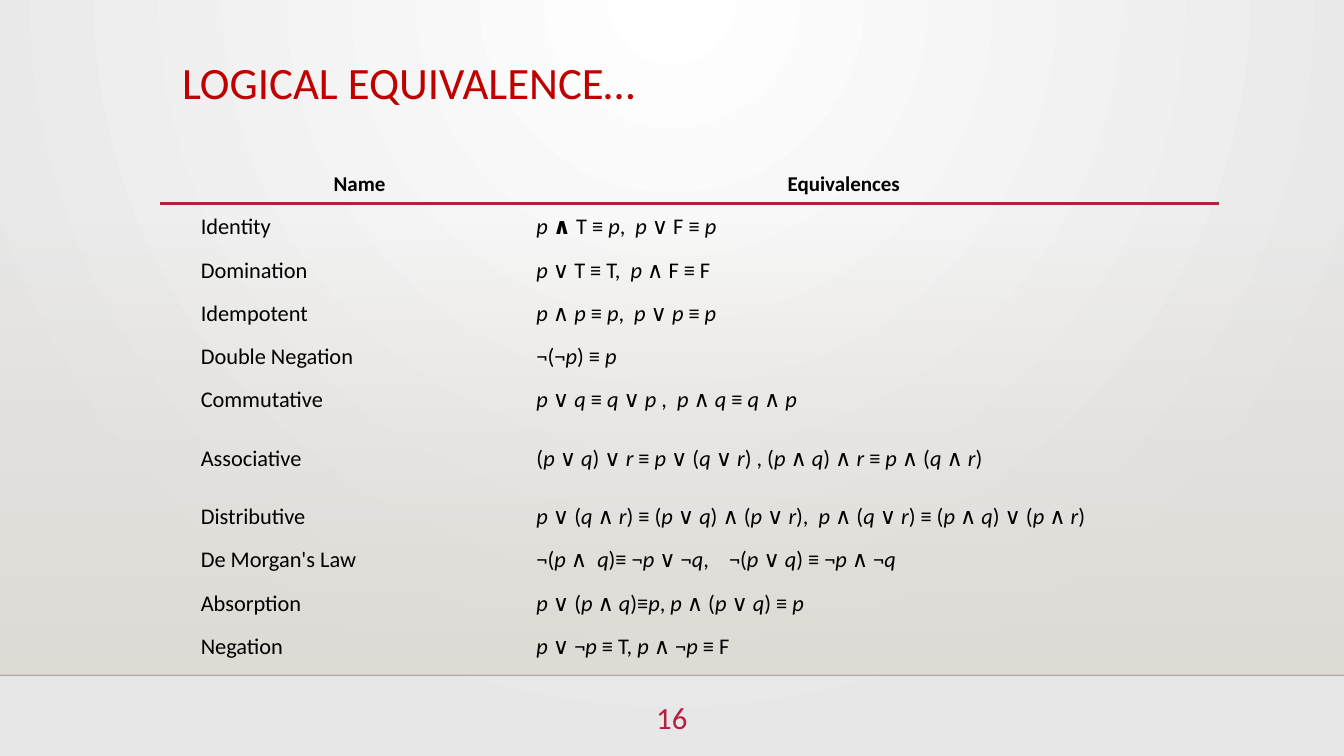
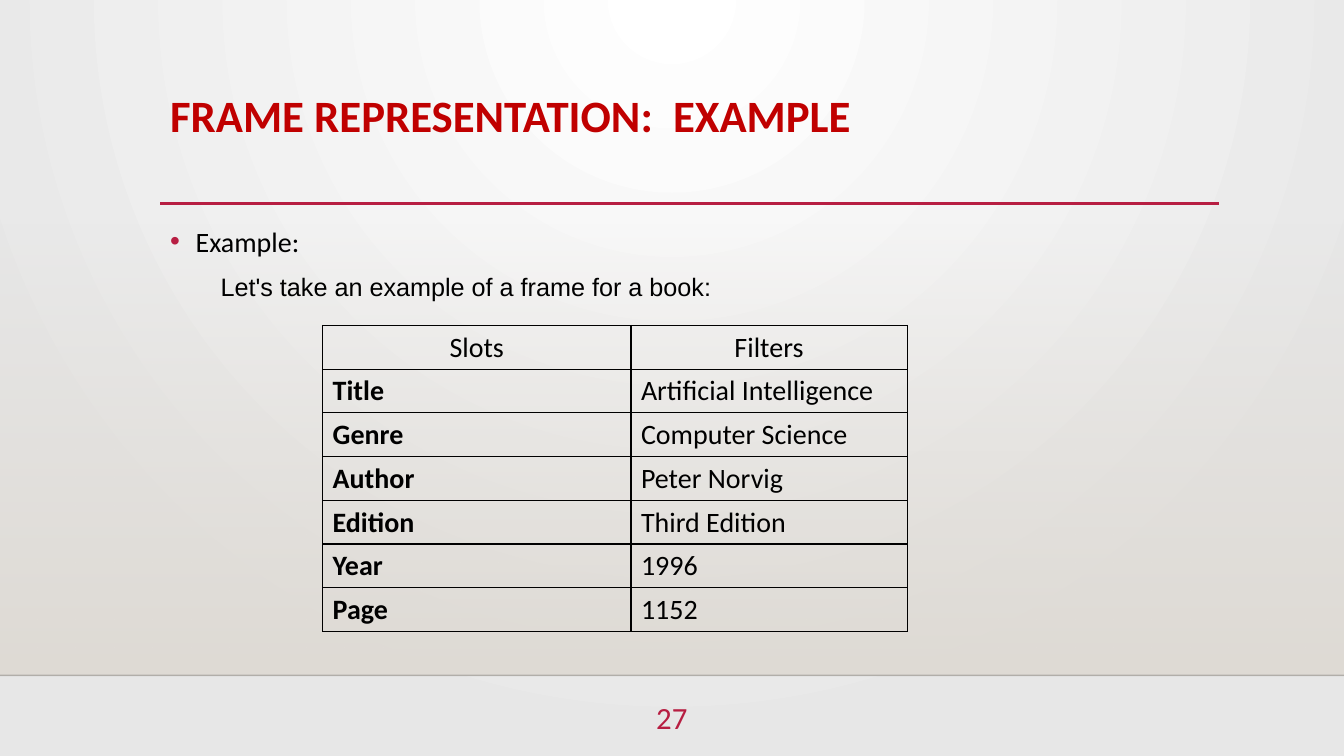
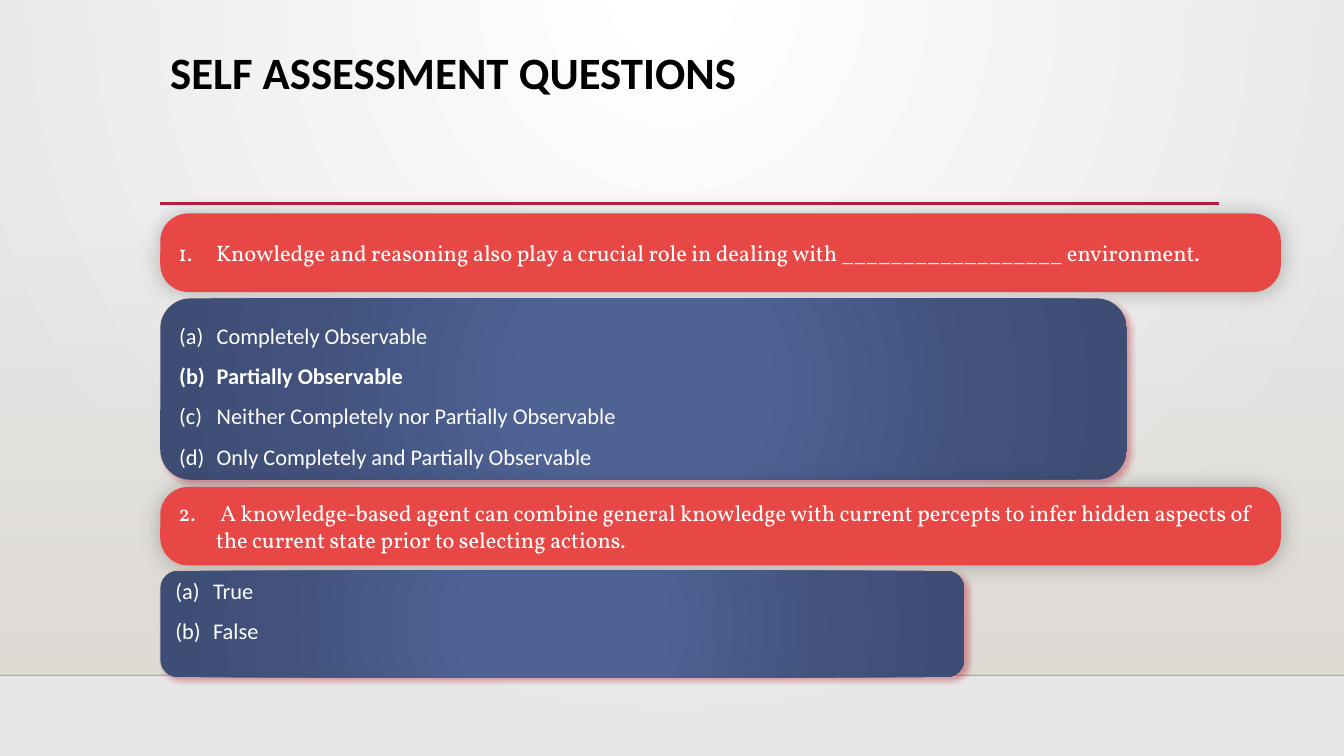
from dataclasses import dataclass, replace
from itertools import groupby
from typing import NamedTuple

from lxml.etree import SubElement
from pptx import Presentation
from pptx.dml.color import RGBColor
from pptx.enum.shapes import MSO_CONNECTOR, MSO_SHAPE
from pptx.enum.text import MSO_ANCHOR, PP_ALIGN
from pptx.oxml.ns import qn
from pptx.util import Cm, Pt

HUES = {
    "white": "FFFFFF", "grey": "E7E7E7", "sand": "DFDBD5", "black": "000000",
    "edge": "000001", "rose": "B71E42", "red": "C00000", "coral": "E84845",
    "blue": "4E6294", "dusk": "42527C", "night": "3E4D74", "wine": "BA2532",
}
WIDE, HIGH = 33.87, 19.05
LEFT, SPAN, FLOOR = 4.04, 26.67, 17.02
NO_GRID = "{2D5ABB26-0587-4C30-8999-92F81FD0307C}"


class Box(NamedTuple):
    """Left, top, width and height in centimetres."""
    left: float
    top: float
    wide: float
    high: float

    def cm(self) -> list:
        return [Cm(side) for side in self]


@dataclass(frozen=True)
class Look:
    size: float
    hue: str = "black"
    bold: bool = False
    slant: bool = False
    face: str = "Calibri"


class Glow(NamedTuple):
    hue: str
    clear: int
    blur: float
    dist: float
    turn: int


class Card(NamedTuple):
    """A rounded question or answer panel."""
    box: Box
    lines: list
    look: Look
    mark: str
    glow: Glow
    first: int = 1
    key: int = -1
    lead: float = 1.0
    curve: float = 0.1667
    foot: float = 0.13


HEAD = Look(32, "red")
CELL = Look(16)
SLOT = Look(20)
ASK = Look(16, "white", face="Vollkorn")
PICK = Look(16, "white")
HALO = Glow("black", 25, 15, 0, 0)
DROP = Glow("wine", 40, 4, 3, 45)

LAWS = [
    ("Identity", "p *∧* T ≡ p,  p ∨ F ≡ p"),
    ("Domination", "p ∨ T ≡ T,  p ∧ F ≡ F"),
    ("Idempotent", "p ∧ p ≡ p,  p ∨ p ≡ p"),
    ("Double Negation", "¬(¬p) ≡ p"),
    ("Commutative", "p ∨ q ≡ q ∨ p ,  p ∧ q ≡ q ∧ p"),
    ("Associative", "(p ∨ q) ∨ r ≡ p ∨ (q ∨ r) , (p ∧ q) ∧ r ≡ p ∧ (q ∧ r)"),
    ("Distributive", "p ∨ (q ∧ r) ≡ (p ∨ q) ∧ (p ∨ r),  p ∧ (q ∨ r) ≡ (p ∧ q) ∨ (p ∧ r)"),
    ("De Morgan's Law", "¬(p ∧  q)≡ ¬p ∨ ¬q,    ¬(p ∨ q) ≡ ¬p ∧ ¬q"),
    ("Absorption", "p ∨ (p ∧ q)≡p, p ∧ (p ∨ q) ≡ p"),
    ("Negation", "p ∨ ¬p ≡ T, p ∧ ¬p ≡ F"),
]
SLOTS = [
    ("Title", "Artificial Intelligence"), ("Genre", "Computer Science"),
    ("Author", "Peter Norvig"), ("Edition", "Third Edition"),
    ("Year", "1996"), ("Page", "1152"),
]
CARDS = [
    Card(Box(LEFT, 5.38, 28.24, 1.98),
         ["Knowledge and reasoning also play a crucial role in dealing with "
          "__________________ environment."],
         ASK, "arabicPeriod", HALO, curve=0.356),
    Card(Box(LEFT, 7.52, 24.36, 4.57),
         ["Completely Observable", "Partially Observable",
          "Neither Completely nor Partially Observable",
          "Only Completely and Partially Observable"],
         PICK, "alphaLcParenBoth", DROP, key=1, lead=1.5),
    Card(Box(LEFT, 12.27, 28.24, 1.98),
         [" A knowledge-based agent can combine general knowledge with current "
          "percepts to infer hidden aspects of the current state prior to "
          "selecting actions."],
         ASK, "arabicPeriod", HALO, first=2, curve=0.356),
    Card(Box(LEFT, 14.38, 20.27, 2.69), ["True", "False"],
         PICK, "alphaLcParenBoth", DROP, lead=1.5, foot=1.0),
]


# XML helpers
def tint(home, hue: str, clear: int = 100):
    clr = SubElement(home, qn("a:srgbClr"), val=HUES[hue])
    if clear < 100:
        SubElement(clr, qn("a:alpha"), val=str(clear * 1000))


def blend(node, stops: list, focus: tuple = ()):
    """Fill a gradient node: round when it has a focus, else top to bottom."""
    for kid in list(node):
        node.remove(kid)
    row = SubElement(node, qn("a:gsLst"))
    for spot, hue, clear in stops:
        tint(SubElement(row, qn("a:gs"), pos=str(spot * 1000)), hue, clear)
    if focus:
        ring = SubElement(node, qn("a:path"))
        ring.set("path", "circle")
        SubElement(ring, qn("a:fillToRect"),
                   **{side: str(part * 1000) for side, part in zip("ltrb", focus)})
    else:
        SubElement(node, qn("a:lin"), ang="5400000", scaled="0")


def shade(shape, stops: list, focus: tuple = ()):
    shape.fill.gradient()
    blend(shape.element.spPr.find(qn("a:gradFill")), stops, focus)


def cast(shape, glow: Glow):
    node = SubElement(shape.element.spPr.find(qn("a:effectLst")), qn("a:outerShdw"),
                      blurRad=str(Pt(glow.blur)), dist=str(Pt(glow.dist)),
                      dir=str(glow.turn * 60000), algn="ctr", rotWithShape="0")
    tint(node, glow.hue, glow.clear)


def mark(para, tag: str, hang: float, **attrs: str):
    """Give a paragraph a hanging bullet or number."""
    props = para._p.get_or_add_pPr()
    props.set("marL", str(Cm(hang)))
    props.set("indent", str(-Cm(hang)))
    if tag == "a:buChar":
        tint(SubElement(props, qn("a:buClr")), "rose")
        SubElement(props, qn("a:buFont"), typeface="Arial")
    SubElement(props, qn(tag), **attrs)


# Text and shapes
def say(para, text: str, look: Look):
    run = para.add_run()
    run.text = text
    font = run.font
    font.name, font.size = look.face, Pt(look.size)
    font.bold, font.italic = look.bold, look.slant
    font.color.rgb = RGBColor.from_string(HUES[look.hue])


def logic(para, text: str, look: Look):
    """Write a formula: letters p, q, r slant; parts between stars are bold."""
    for turn, part in enumerate(text.split("*")):
        for slant, chars in groupby(part, lambda char: char in "pqr"):
            say(para, "".join(chars), replace(look, bold=turn % 2 == 1, slant=slant))


def frame(slide, box: Box):
    text = slide.shapes.add_textbox(*box.cm()).text_frame
    text.word_wrap = True
    return text


def title(slide, text: str, box: Box, look: Look, lead: float = 0.9):
    para = frame(slide, box).paragraphs[0]
    para.line_spacing = lead
    say(para, text, look)


def rule(slide, left: float, top: float, right: float, hue: str, width: float,
         clear: int = 100):
    line = slide.shapes.add_connector(
        MSO_CONNECTOR.STRAIGHT, Cm(left), Cm(top), Cm(right), Cm(top))
    line.line.width = Pt(width)
    line.line.fill.solid()
    line.line.fill.fore_color.rgb = RGBColor.from_string(HUES[hue])
    props = line.element.spPr
    if clear < 100:
        SubElement(next(props.iter(qn("a:srgbClr"))), qn("a:alpha"), val=str(clear * 1000))
    SubElement(props, qn("a:effectLst"))


def block(slide, kind, box: Box):
    shape = slide.shapes.add_shape(kind, *box.cm())
    shape.line.fill.background()
    shape.shadow.inherit = False
    return shape


def grid(slide, left: float, top: float, cols: list, rows: list):
    table = slide.shapes.add_table(
        len(rows), len(cols), *Box(left, top, sum(cols), sum(rows)).cm()).table
    table.first_row = table.horz_banding = False
    table._tbl.tblPr.find(qn("a:tableStyleId")).text = NO_GRID
    for col, wide in zip(table.columns, cols):
        col.width = Cm(wide)
    for row, high in zip(table.rows, rows):
        row.height = Cm(high)
    for cell in table.iter_cells():
        cell.fill.background()
        cell.vertical_anchor = MSO_ANCHOR.MIDDLE
    return table


def fence(cell):
    """Draw a thin black border on all four sides of a cell."""
    props = cell._tc.get_or_add_tcPr()
    for spot, side in enumerate("LRTB"):
        line = SubElement(props, qn("a:ln" + side), w=str(Pt(1)))
        tint(SubElement(line, qn("a:solidFill")), "black")
        props.insert(spot, line)


def heads(table, names: tuple, look: Look):
    for cell, name in zip(table.rows[0].cells, names):
        para = cell.text_frame.paragraphs[0]
        para.alignment = PP_ALIGN.CENTER
        say(para, name, look)


def panel(slide, card: Card):
    shape = block(slide, MSO_SHAPE.ROUNDED_RECTANGLE, card.box)
    shape.adjustments[0] = card.curve
    if card.look == ASK:
        shape.fill.solid()
        shape.fill.fore_color.rgb = RGBColor.from_string(HUES["coral"])
    else:
        shade(shape, [(0, "blue", 100), (23, "blue", 100), (69, "dusk", 100),
                      (97, "night", 100)], (50, 50, 50, 50))
    cast(shape, card.glow)
    text = shape.text_frame
    text.word_wrap = True
    text.vertical_anchor = MSO_ANCHOR.MIDDLE
    text.margin_bottom = Cm(card.foot)
    if card.foot > 0.13:
        text.margin_top = 0
    for spot, line in enumerate(card.lines):
        para = text.add_paragraph() if spot else text.paragraphs[0]
        para.alignment = PP_ALIGN.LEFT
        para.line_spacing = card.lead
        mark(para, "a:buAutoNum", 0.95, type=card.mark, startAt=str(card.first))
        say(para, line, replace(card.look, bold=spot == card.key))


# Shared slide parts
def start(deck, page: str = ""):
    slide = deck.slides.add_slide(deck.slide_layouts[6])
    wash = block(slide, MSO_SHAPE.RECTANGLE, Box(0, 5.61, WIDE, FLOOR - 5.61))
    shade(wash, [(0, "sand", 0), (100, "sand", 100)])
    rule(slide, 0, FLOOR, WIDE, "edge", 1, 20)
    rule(slide, LEFT, 5.13, 30.73, "rose", 2.5)
    if page:
        para = frame(slide, Box(15.8, 17.48, 2.26, 1.4)).paragraphs[0]
        para.alignment = PP_ALIGN.CENTER
        say(para, page, Look(22, "rose"))
    return slide


# Slides
def laws(deck):
    slide = start(deck, "16")
    title(slide, "LOGICAL EQUIVALENCE…", Box(4.34, 1.4, SPAN, 2.92), HEAD)
    rows = [1.09] + [1.85 if name == "Associative" else 1.09 for name, _ in LAWS]
    table = grid(slide, 4.83, 4.09, [8.46, 15.95], rows)
    for cell in table.iter_cells():
        cell.margin_left = cell.margin_right = Cm(0.23)
        cell.margin_top = cell.margin_bottom = Cm(0.1)
    heads(table, ("Name", "Equivalences"), Look(15, bold=True))
    for spot, (name, rule_text) in enumerate(LAWS, 1):
        say(table.cell(spot, 0).text_frame.paragraphs[0], name, CELL)
        logic(table.cell(spot, 1).text_frame.paragraphs[0], rule_text, CELL)


def book(deck):
    slide = start(deck, "27")
    title(slide, "FRAME REPRESENTATION:  EXAMPLE", Box(LEFT, 2.24, SPAN, 2.92),
          replace(HEAD, bold=True))
    text = frame(slide, Box(LEFT, 5.36, SPAN, 10.87))
    lead, note = text.paragraphs[0], text.add_paragraph()
    lead.line_spacing = note.line_spacing = 1.2
    mark(lead, "a:buChar", 0.64, char="•")
    say(lead, "Example:", SLOT)
    note.space_before = Pt(5)
    note._p.get_or_add_pPr().set("marL", str(Cm(1.27)))
    say(note, "Let's take an example of a frame for a book:", Look(18, face="Arial"))
    table = grid(slide, 8.13, 8.2, [7.77, 6.96], [1.1] * (len(SLOTS) + 1))
    for cell in table.iter_cells():
        fence(cell)
    heads(table, ("Slots", "Filters"), SLOT)
    for spot, pair in enumerate(SLOTS, 1):
        for col, word in enumerate(pair):
            say(table.cell(spot, col).text_frame.paragraphs[0], word,
                replace(SLOT, bold=col == 0))


def quiz(deck):
    slide = start(deck)
    for card in CARDS:
        panel(slide, card)
    title(slide, "SELF ASSESSMENT QUESTIONS", Box(LEFT, 0.99, 19.02, 1.63),
          replace(HEAD, hue="black", bold=True), 1.0)


def main():
    deck = Presentation()
    deck.slide_width, deck.slide_height = Cm(WIDE), Cm(HIGH)
    base = deck.slide_master
    base.background.fill.gradient()
    blend(next(base.element.iter(qn("a:gradFill"))),
          [(0, "white", 100), (100, "grey", 100)], (43, 0, 43, 100))
    for draw in (laws, book, quiz):
        draw(deck)
    deck.save("out.pptx")


if __name__ == "__main__":
    main()
